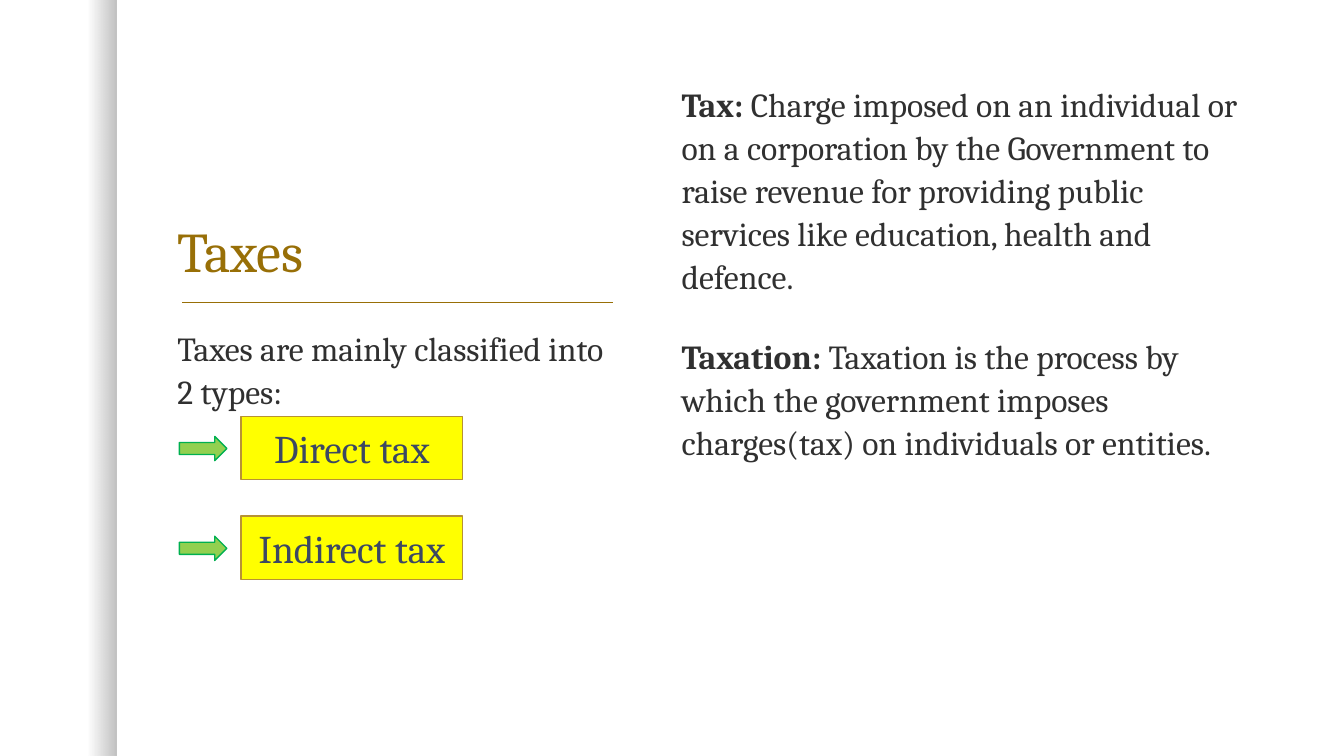
from lxml import etree
from pptx import Presentation
from pptx.dml.color import RGBColor
from pptx.enum.shapes import MSO_CONNECTOR, MSO_SHAPE
from pptx.enum.text import MSO_ANCHOR, MSO_AUTO_SIZE, PP_ALIGN
from pptx.oxml.ns import qn
from pptx.util import Inches, Pt

RECTANGLE = MSO_SHAPE.RECTANGLE
RIGHT_ARROW = MSO_SHAPE.RIGHT_ARROW
STRAIGHT = MSO_CONNECTOR.STRAIGHT
LEFT, CENTER = PP_ALIGN.LEFT, PP_ALIGN.CENTER
TOP, MIDDLE, BOTTOM = MSO_ANCHOR.TOP, MSO_ANCHOR.MIDDLE, MSO_ANCHOR.BOTTOM
NO_FIT = MSO_AUTO_SIZE.NONE

FONT = "Cambria"
COLORS = {
    "gold": "986F07",
    "body": "303030",
    "label": "3C4863",
    "yellow": "FFFF00",
    "box_line": "B79235",
    "green": "92D050",
    "green_line": "00B050",
    "shade": "000000",
}


def color(name):
    return RGBColor.from_string(COLORS[name])


class TaxPage:
    """Holds the style and the current slide."""

    def __init__(self, page):
        self.page = page

    def style_span(self, span, size, name, bold=False):
        span.font.name = FONT
        span.font.size = Pt(size)
        span.font.bold = bold
        span.font.color.rgb = color(name)

    def place(self, holder, left, top, width, height, anchor):
        holder.left, holder.top = Inches(left), Inches(top)
        holder.width, holder.height = Inches(width), Inches(height)
        frame = holder.text_frame
        frame.word_wrap = True
        frame.auto_size = NO_FIT
        frame.vertical_anchor = anchor
        return frame

    def title(self, text, *area):
        frame = self.place(self.page.shapes.title, *area, BOTTOM)
        frame.text = text
        para = frame.paragraphs[0]
        para.alignment = LEFT
        para.line_spacing = 0.8
        self.style_span(para.runs[0], 40, "gold")

    def body(self, index, entries, *area):
        """Fill a body placeholder with (bold lead, text) paragraphs."""
        frame = self.place(self.page.placeholders[index], *area, TOP)
        for number, (lead, text) in enumerate(entries):
            para = frame.add_paragraph() if number else frame.paragraphs[0]
            para.alignment = LEFT
            para.line_spacing = 1.07
            para.space_before, para.space_after = Pt(18), Pt(8)
            properties = para._p.get_or_add_pPr()
            properties.set("marL", "0")
            properties.set("indent", "0")
            etree.SubElement(properties, qn("a:buNone"))
            for part, bold in ((lead, True), (text, False)):
                if part:
                    span = para.add_run()
                    span.text = part
                    self.style_span(span, 24, "body", bold)

    def shape(self, kind, left, top, width, height):
        shape = self.page.shapes.add_shape(
            kind, Inches(left), Inches(top), Inches(width), Inches(height))
        shape.shadow.inherit = False
        return shape

    def filled(self, kind, fill, line, *area):
        shape = self.shape(kind, *area)
        shape.fill.solid()
        shape.fill.fore_color.rgb = color(fill)
        shape.line.color.rgb = color(line)
        shape.line.width = Pt(1)
        return shape

    def label_box(self, text, *area):
        frame = self.filled(RECTANGLE, "yellow", "box_line", *area).text_frame
        frame.text = text
        frame.vertical_anchor = MIDDLE
        para = frame.paragraphs[0]
        para.alignment = CENTER
        self.style_span(para.runs[0], 28, "label")

    def edge_shade(self, *area):
        band = self.shape(RECTANGLE, *area)
        band.line.fill.background()
        band.fill.gradient()
        band.fill.gradient_angle = 0
        for stop, position in zip(band.fill.gradient_stops, (0.75, 1)):
            stop.position = position
            stop.color.rgb = color("shade")
        # Transparency of the two stops
        tones = band._element.spPr.iter(qn("a:srgbClr"))
        for tone, opacity in zip(tones, (0, 25000)):
            etree.SubElement(tone, qn("a:alpha")).set("val", str(opacity))

    def rule(self, left, right, top):
        line = self.page.shapes.add_connector(
            STRAIGHT, Inches(left), Inches(top), Inches(right), Inches(top))
        line.line.color.rgb = color("gold")
        line.line.width = Pt(1)
        etree.SubElement(line._element.spPr, qn("a:effectLst"))


def main():
    deck = Presentation()
    deck.slide_width, deck.slide_height = Inches(13.33), Inches(7.5)
    page = TaxPage(deck.slides.add_slide(deck.slide_layouts[3]))

    # Background band and title rule
    page.edge_shade(0, 0, 1.16, 7.5)
    page.rule(1.81, 6.08, 3)

    # Title and texts
    page.title("Taxes", 1.66, 0.75, 4.5, 2.11)
    page.body(2, [
        ("Tax: ", "Charge imposed on an individual or on a corporation by the "
         "Government to raise revenue for providing public services like "
         "education, health and defence."),
        ("Taxation: ", "Taxation is the process by which the government "
         "imposes charges(tax) on individuals or entities."),
    ], 6.66, 0.75, 5.75, 6)
    page.body(1, [("", "Taxes are mainly classified into 2 types:")],
              1.66, 3.17, 4.5, 3.42)

    # Tax types, each with its arrow
    for row, tax_type in enumerate(("Direct tax", "Indirect tax")):
        top = 4.13 + 0.99 * row
        page.label_box(tax_type, 2.39, top, 2.2, 0.63)
        page.filled(RIGHT_ARROW, "green", "green_line",
                    1.78, top + 0.2, 0.47, 0.24)

    deck.save("out.pptx")


if __name__ == "__main__":
    main()
